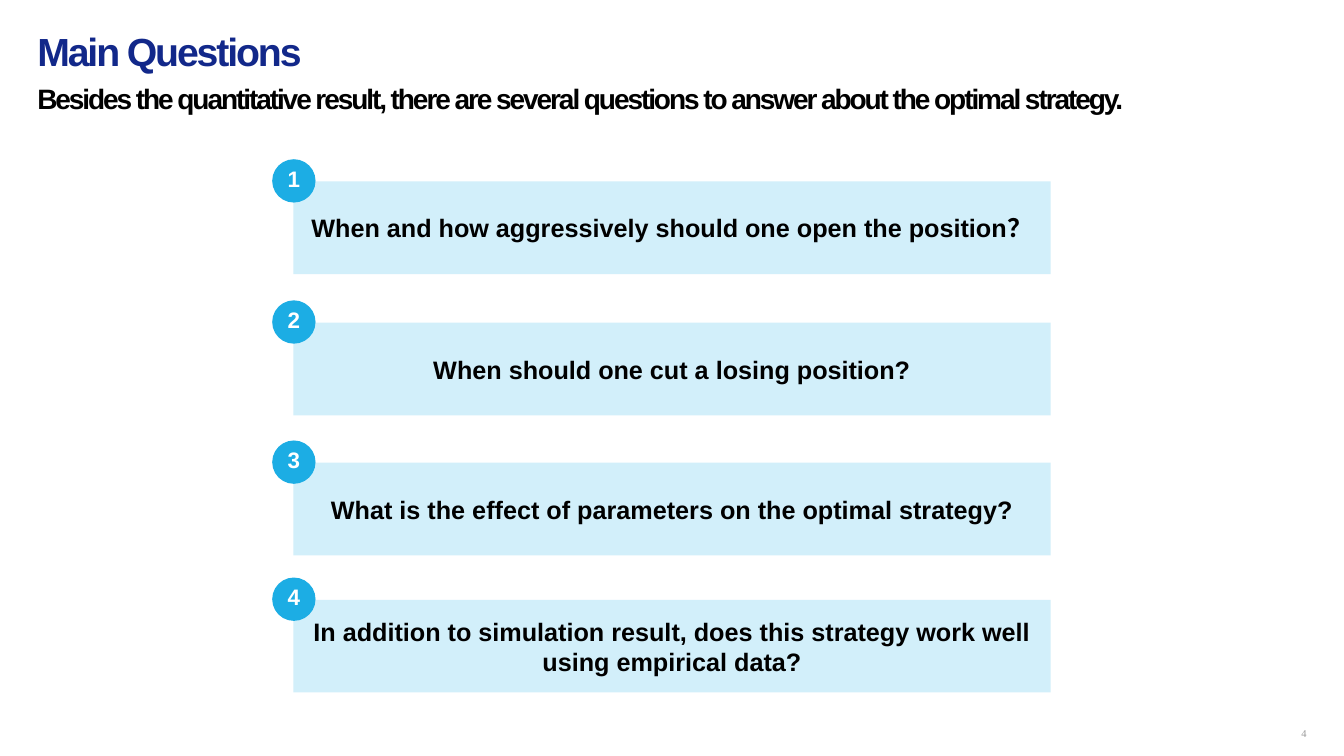
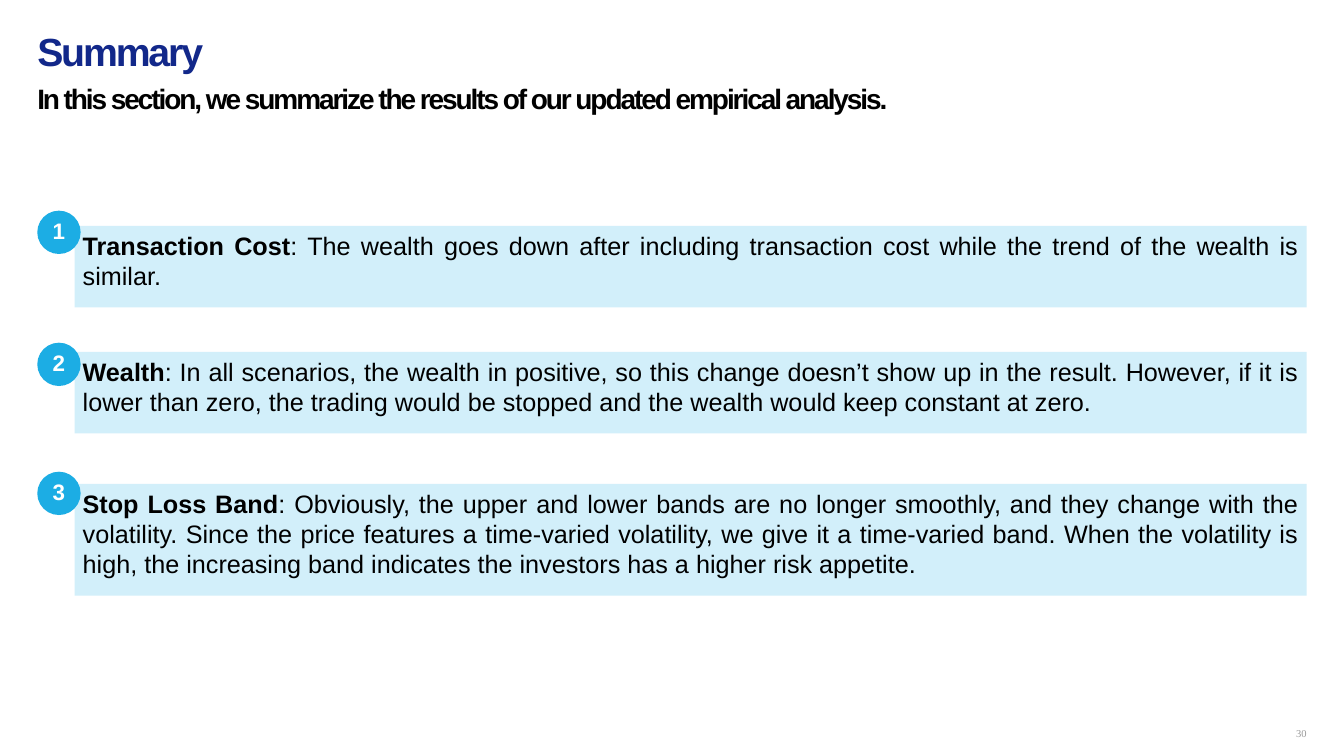
"""Build two numbered-panel slides on trading strategy questions and findings."""
from dataclasses import dataclass

from pptx import Presentation, util as u
from pptx.dml.color import RGBColor
from pptx.enum import shapes, text

NAVY, BLACK, WHITE, GREY = "12288A", "000000", "FFFFFF", "999999"
PANEL_BLUE, BADGE_BLUE = "D2EFFA", "1CADE4"
LEFT, CONTENT_WIDTH, BADGE_SIZE = 0.37, 12.6, 0.43
PANEL_INSETS = (0.08, 0.04)


@dataclass(frozen=True)
class Style:
    """Describe the look of one piece of text."""
    size: float
    color: str = BLACK
    bold: bool = False
    font: str = "Arial"
    tracking: int = 0


@dataclass(frozen=True)
class Panel:
    """Hold a numbered panel: its top, height, badge top and wording."""
    top: float
    height: float
    badge_top: float
    lead: str
    detail: str = ""


@dataclass(frozen=True)
class Page:
    """Hold the content of a slide and the layout of its panels."""
    heading: str
    message: str
    number: str
    panel_left: float
    panel_width: float
    badge_left: float
    paragraph_format: dict
    anchor: text.MSO_ANCHOR
    panels: tuple[Panel, ...]


HEADING = Style(28, NAVY, True, tracking=-150)
MESSAGE = Style(20, bold=True, tracking=-150)
PAGE_NUMBER = Style(7.5, GREY, font="Times New Roman")
LEAD, DETAIL = Style(18, bold=True), Style(18)
BADGE = Style(16, WHITE, True)
CENTERED = {"alignment": text.PP_ALIGN.CENTER}
JUSTIFIED = {"alignment": text.PP_ALIGN.JUSTIFY, "space_after": u.Pt(4.5)}

QUESTIONS = (
    "When and how aggressively should one open the position？",
    "When should one cut a losing position?",
    "What is the effect of parameters on the optimal strategy?",
    "In addition to simulation result, does this strategy work well using empirical data?",
)
QUESTION_TOPS = (1.8, 3.2, 4.59, 5.95)

PAGES = (
    Page(
        "Main Questions",
        "Besides the quantitative result, there are several questions to answer "
        "about the optimal strategy.",
        "4", 2.91, 7.51, 2.7, CENTERED, text.MSO_ANCHOR.MIDDLE,
        tuple(Panel(top, 0.92, top - 0.22, question)
              for top, question in zip(QUESTION_TOPS, QUESTIONS)),
    ),
    Page(
        "Summary",
        "In this section, we summarize the results of our updated empirical analysis.",
        "30", 0.74, 12.22, LEFT, JUSTIFIED, text.MSO_ANCHOR.TOP,
        (
            Panel(2.24, 0.81, 2.09, "Transaction Cost",
                  ": The wealth goes down after including transaction cost while the "
                  "trend of the wealth is similar."),
            Panel(3.49, 0.81, 3.4, "Wealth",
                  ": In all scenarios, the wealth in positive, so this change doesn’t "
                  "show up in the result. However, if it is lower than zero, the trading "
                  "would be stopped and the wealth would keep constant at zero."),
            Panel(4.8, 1.11, 4.68, "Stop Loss Band",
                  ": Obviously, the upper and lower bands are no longer smoothly, and they "
                  "change with the volatility. Since the price features a time-varied "
                  "volatility, we give it a time-varied band. When the volatility is high, "
                  "the increasing band indicates the investors has a higher risk appetite."),
        ),
    ),
)


def rgb(color: str) -> RGBColor:
    """Turn a hex string into a colour."""
    return RGBColor.from_string(color)


def write(shape, runs, paragraph_format: dict, anchor, insets=(0, 0)) -> None:
    """Write styled runs as the single paragraph of a shape."""
    frame = shape.text_frame
    across, down = map(u.Inches, insets)
    frame_format = {
        "word_wrap": True, "vertical_anchor": anchor,
        "margin_left": across, "margin_right": across,
        "margin_top": down, "margin_bottom": down,
    }
    paragraph = frame.paragraphs[0]
    for target, values in ((frame, frame_format), (paragraph, paragraph_format)):
        for name, value in values.items():
            setattr(target, name, value)
    for wording, style in runs:
        run = paragraph.add_run()
        run.text = wording
        font_format = {"name": style.font, "size": u.Pt(style.size), "bold": style.bold}
        for name, value in font_format.items():
            setattr(run.font, name, value)
        run.font.color.rgb = rgb(style.color)
        if style.tracking:
            run._r.get_or_add_rPr().set("spc", str(style.tracking))


def add_label(slide, box, wording: str, style: Style,
              alignment=text.PP_ALIGN.LEFT, anchor=text.MSO_ANCHOR.MIDDLE) -> None:
    """Add a text box without insets."""
    label = slide.shapes.add_textbox(*map(u.Inches, box))
    write(label, [(wording, style)], {"alignment": alignment}, anchor)


def add_block(group, kind, box, fill: str):
    """Add a flat, borderless shape to a group."""
    block = group.shapes.add_shape(kind, *map(u.Inches, box))
    block.shadow.inherit = False
    block.fill.solid()
    block.fill.fore_color.rgb = rgb(fill)
    block.line.fill.background()
    return block


def add_panel(slide, page: Page, number: int, panel: Panel) -> None:
    """Add a panel grouped with its numbered badge."""
    group = slide.shapes.add_group_shape()
    body = add_block(group, shapes.MSO_SHAPE.RECTANGLE,
                     (page.panel_left, panel.top, page.panel_width, panel.height), PANEL_BLUE)
    runs = [(panel.lead, LEAD)]
    if panel.detail:
        runs.append((panel.detail, DETAIL))
    write(body, runs, page.paragraph_format, page.anchor, PANEL_INSETS)
    badge = add_block(group, shapes.MSO_SHAPE.OVAL,
                      (page.badge_left, panel.badge_top, BADGE_SIZE, BADGE_SIZE), BADGE_BLUE)
    write(badge, [(str(number), BADGE)], CENTERED, text.MSO_ANCHOR.BOTTOM, PANEL_INSETS)


def add_page(deck, page: Page) -> None:
    """Add a slide with heading, message, page number and panels."""
    slide = deck.slides.add_slide(deck.slide_layouts[6])
    add_label(slide, (12.57, 7.18, 0.39, 0.2), page.number, PAGE_NUMBER, text.PP_ALIGN.RIGHT)
    add_label(slide, (LEFT, 0.32, CONTENT_WIDTH, 0.36), page.heading, HEADING)
    add_label(slide, (LEFT, 0.81, CONTENT_WIDTH, 0.7), page.message, MESSAGE,
              anchor=text.MSO_ANCHOR.TOP)
    for number, panel in enumerate(page.panels, 1):
        add_panel(slide, page, number, panel)


def main() -> None:
    """Build and save the presentation."""
    deck = Presentation()
    deck.slide_width, deck.slide_height = u.Inches(13.33), u.Inches(7.5)
    for page in PAGES:
        add_page(deck, page)
    deck.save("out.pptx")


if __name__ == "__main__":
    main()
